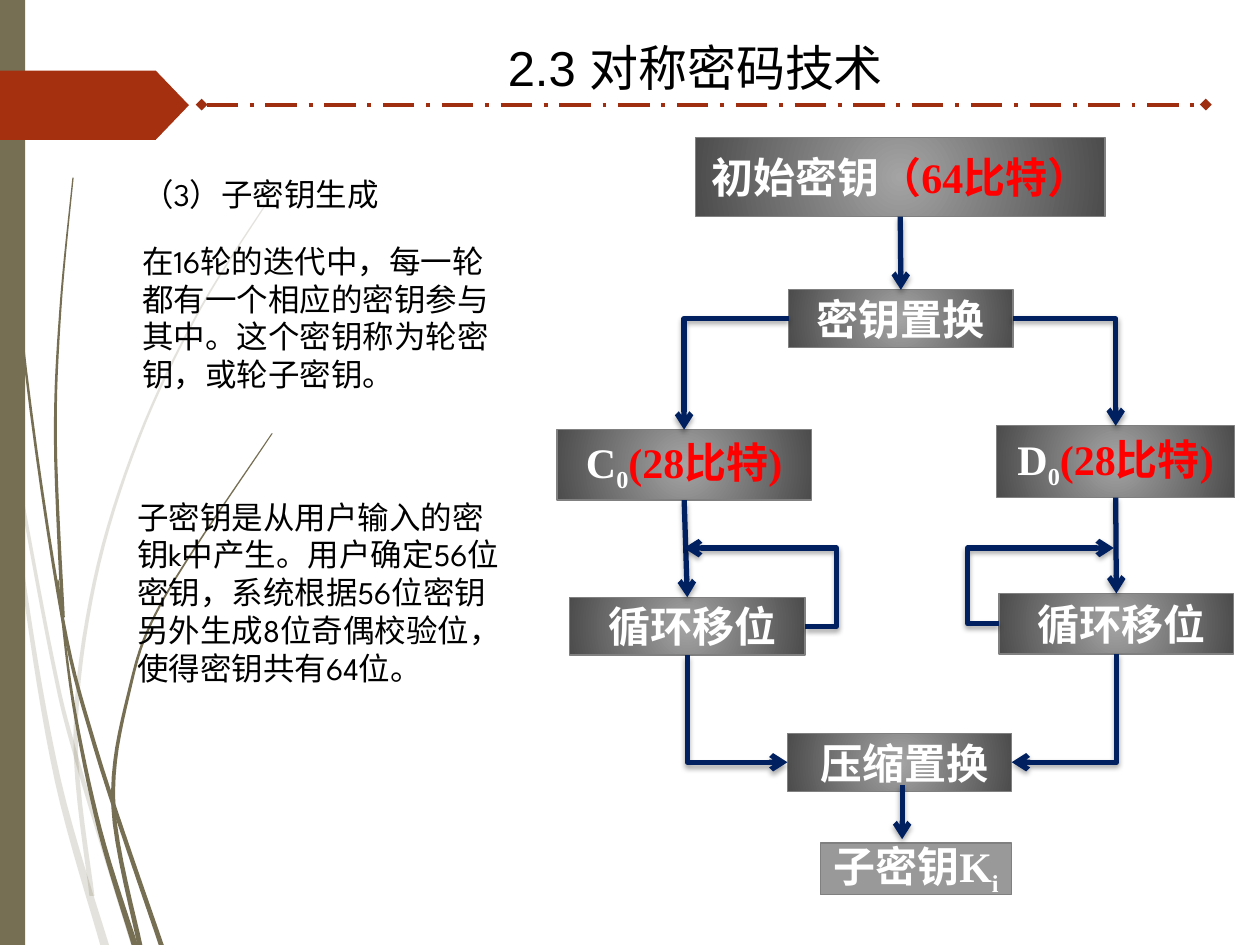
import lxml.etree
import pptx
import pptx.dml.color
import pptx.enum.dml
import pptx.enum.shapes
import pptx.enum.text
import pptx.oxml.ns
import pptx.util

Inches = pptx.util.Inches
Pt = pptx.util.Pt
RGB = pptx.dml.color.RGBColor
Kind = pptx.enum.shapes.MSO_SHAPE
Link = pptx.enum.shapes.MSO_CONNECTOR
Align = pptx.enum.text.PP_ALIGN
Anchor = pptx.enum.text.MSO_ANCHOR
qn = pptx.oxml.ns.qn

OLIVE = RGB(0x76, 0x6F, 0x54)
RUST = RGB(0xA5, 0x30, 0x10)
BRICK = RGB(0x9E, 0x2E, 0x0F)
NAVY = RGB(0x00, 0x20, 0x60)
LIGHT = RGB(0xA4, 0xA4, 0xA4)
DARK = RGB(0x4C, 0x4C, 0x4C)
EDGE = RGB(0x80, 0x80, 0x80)
GRAY = RGB(0x99, 0x99, 0x99)
BLACK = RGB(0, 0, 0)
WHITE = RGB(0xFF, 0xFF, 0xFF)
RED = RGB(0xFF, 0, 0)

TOP, LEFT, BOTTOM, RIGHT = range(4)
STEPS = 8
REACH = .25


def add_tag(parent, tag, **attrs):
    return lxml.etree.SubElement(parent, qn("a:" + tag), attrs)


def percent(share):
    return str(round(share * 100000))


def paint(shape, color):
    shape.shadow.inherit = False
    shape.fill.solid()
    shape.fill.fore_color.rgb = color
    shape.line.fill.background()


def style(font, name, size, color=None, bold=None):
    font.name, font.size, font.bold = name, Pt(size), bold
    if color is not None:
        font.color.rgb = color


def blend(a, b, c, d, t):
    return b + t / 2 * (c - a + t * (2 * a - 5 * b + 4 * c - d
                                     + t * (3 * (b - c) + d - a)))


def smooth(knots):
    padded = [knots[0], *knots, knots[-1]]
    curve = []
    for four in zip(padded, padded[1:], padded[2:], padded[3:]):
        xs, ys = zip(*four)
        for step in range(STEPS):
            t = step / STEPS
            curve.append((blend(*xs, t), blend(*ys, t)))
    return curve + [knots[-1]]


def add_blade(shapes, knots, tip, root, alpha=1):
    curve = smooth(knots)
    last = len(curve) - 1
    near, far = [], []
    for place, (x, y) in enumerate(curve):
        half = (tip + (root - tip) * place / last) / 2
        near.append((Inches(x - half), Inches(y)))
        far.append((Inches(x + half), Inches(y)))
    outline = near + far[::-1]
    form = shapes.build_freeform(*outline[0])
    form.add_line_segments(outline[1:], close=True)
    blade = form.convert_to_shape()
    paint(blade, OLIVE)
    if alpha < 1:
        tone = blade.element.spPr.find(qn("a:solidFill"))[0]
        add_tag(tone, "alpha", val=percent(alpha))


def add_grass(shapes):
    pale_stem = [(0, 2.9), (.11, 3.6), (.41, 5.21), (.61, 6.03), (1.06, 7.5)]
    pale_root = [(.08, 3.5), (.2, 4.7), (.46, 6.2), (.83, 7.5)]
    pale_leaf = [(2.17, 1.53), (1.59, 2.45), (1.1, 3.48), (.75, 4.62),
                 (.6, 5.85), (.73, 7.11)]
    stem = [(.02, 0), (.14, 2.33), (.46, 4.7), (.75, 5.91), (1.28, 7.5)]
    root = [(.46, 4.6), (.58, 5.57), (.79, 6.58), (1.07, 7.5)]
    reed = [(.58, 1.41), (.48, 2.45), (.44, 3.49), (.5, 4.9)]
    leaf = [(2.16, 3.44), (1.3, 4.75), (1.02, 5.51), (.9, 6.4), (1.11, 7.5)]
    for knots, thin, wide in ((pale_stem, .02, .04), (pale_root, .01, .07),
                              (pale_leaf, .01, .04)):
        add_blade(shapes, knots, thin, wide, alpha=.2)
    for knots, thin, wide in ((stem, .01, .04), (root, .01, .05),
                              (reed, .01, .03), (leaf, .01, .04)):
        add_blade(shapes, knots, thin, wide)


def add_line(shapes, kind, start, end, color, width, head=None, tail=None):
    line = shapes.add_connector(kind, *map(Inches, (*start, *end)))
    line.line.color.rgb = color
    line.line.width = Pt(width)
    edge = line.element.spPr.find(qn("a:ln"))
    for tag, tip in (("headEnd", head), ("tailEnd", tail)):
        if tip:
            add_tag(edge, tag, type=tip)
    effects = add_tag(line.element.spPr, "effectLst")
    return line, effects


def add_frame(shapes):
    wall = shapes.add_shape(Kind.RECTANGLE, 0, 0, Inches(.2), Inches(7.5))
    flag = shapes.add_shape(Kind.PENTAGON, 0, Inches(.56), Inches(1.5), Inches(.55))
    flag.adjustments[0] = .48
    paint(wall, OLIVE)
    paint(flag, RUST)
    rule, _ = add_line(shapes, Link.STRAIGHT, (1.6, .83), (9.57, .83), BRICK, 2.25,
                       head="diamond", tail="diamond")
    rule.line.dash_style = pptx.enum.dml.MSO_LINE.LONG_DASH_DOT


def add_title(title, text):
    title.left, title.top = Inches(3.93), Inches(.25)
    title.width, title.height = Inches(3.34), Inches(.57)
    frame = title.text_frame
    frame.text = text
    frame.auto_size = pptx.enum.text.MSO_AUTO_SIZE.NONE
    frame.word_wrap = False
    frame.vertical_anchor = Anchor.TOP
    para = frame.paragraphs[0]
    para.alignment = Align.LEFT
    style(para.font, "Arial", 28, BLACK)


def add_note(shapes, text, *area):
    frame = shapes.add_textbox(*map(Inches, area)).text_frame
    frame.word_wrap = True
    frame.text = text
    style(frame.paragraphs[0].font, "League Spartan", 18, BLACK)


def add_glow(box):
    box.fill.gradient()
    for stop, color in zip(box.fill.gradient_stops, (LIGHT, DARK)):
        stop.color.rgb = color
    grad = box.element.spPr.find(qn("a:gradFill"))
    grad.remove(grad.find(qn("a:lin")))
    round_path = add_tag(grad, "path", path="circle")
    add_tag(round_path, "fillToRect", **dict.fromkeys("ltrb", percent(.5)))


def add_box(shapes, area, text, sub="", red="", flat=False):
    box = shapes.add_shape(Kind.RECTANGLE, *map(Inches, area))
    paint(box, GRAY)
    if not flat:
        add_glow(box)
    box.line.color.rgb = EDGE
    box.line.width = Pt(.75)
    frame = box.text_frame
    frame.word_wrap = False
    frame.vertical_anchor = Anchor.MIDDLE
    para = frame.paragraphs[0]
    para.alignment = Align.CENTER
    style(para.font, "Times New Roman", 24, bold=True)
    for part, color, base in ((text, WHITE, 0), (sub, WHITE, -.25), (red, RED, 0)):
        if part:
            run = para.add_run()
            run.text = part
            run.font.color.rgb = color
            if base:
                run._r.get_or_add_rPr().set("baseline", percent(base))
    return box


def middle(box, side):
    across = {LEFT: 0, RIGHT: 1}.get(side, .5)
    down = {TOP: 0, BOTTOM: 1}.get(side, .5)
    return ((box.left + across * box.width) / Inches(1),
            (box.top + down * box.height) / Inches(1))


def add_arrow(shapes, start, end, kind=Link.STRAIGHT, **tips):
    tips = tips or {"tail": "arrow"}
    line, effects = add_line(shapes, kind, start, end, NAVY, 3, **tips)
    shade = add_tag(effects, "outerShdw", blurRad=str(Pt(3.1)), dist=str(Pt(1.8)),
                    dir="5400000", rotWithShape="0")
    add_tag(add_tag(shade, "srgbClr", val=str(BLACK)), "alpha", val=percent(.35))
    return line


def add_drop(shapes, upper, lower):
    line = add_arrow(shapes, middle(upper, BOTTOM), middle(lower, TOP))
    line.begin_connect(upper, BOTTOM)
    line.end_connect(lower, TOP)


def add_turn(shapes, hub, side, end, **tips):
    line = add_arrow(shapes, middle(hub, side), end, Link.ELBOW, **tips)
    line.element.spPr.find(qn("a:prstGeom")).set("prst", "bentConnector2")


def add_loop(shapes, box, side, end):
    start = middle(box, side)
    line = add_arrow(shapes, start, end, Link.ELBOW)
    bend = -REACH / abs(end[0] - start[0])
    guides = line.element.spPr.find(qn("a:prstGeom")).find(qn("a:avLst"))
    add_tag(guides, "gd", name="adj1", fmla="val " + percent(bend))


def add_flow(shapes):
    start = add_box(shapes, (5.52, 1.09, 3.25, .63), "初始密钥", red="（64比特）")
    swap = add_box(shapes, (6.26, 2.3, 1.78, .46), "密钥置换")
    left = add_box(shapes, (4.42, 3.41, 2.02, .56), "C", "0", "(28比特)")
    right = add_box(shapes, (7.91, 3.38, 1.89, .57), "D", "0", "(28比特)")
    left_shift = add_box(shapes, (4.52, 4.74, 1.87, .46), " 循环移位")
    right_shift = add_box(shapes, (7.93, 4.71, 1.86, .48), " 循环移位")
    press = add_box(shapes, (6.25, 5.82, 1.78, .46), " 压缩置换")
    add_box(shapes, (6.51, 6.69, 1.52, .41), "子密钥K", "i", flat=True)

    add_drop(shapes, start, swap)
    for side, half, shift in ((LEFT, left, left_shift), (RIGHT, right, right_shift)):
        add_turn(shapes, swap, side, middle(half, TOP))
        add_drop(shapes, half, shift)
        add_turn(shapes, press, side, middle(shift, BOTTOM), head="arrow")
    add_loop(shapes, left_shift, RIGHT, (5.43, 4.35))
    add_loop(shapes, right_shift, LEFT, (8.84, 4.35))
    add_arrow(shapes, (7.16, 6.23), (7.16, 6.66))


def main():
    deck = pptx.Presentation()
    deck.slide_width, deck.slide_height = Inches(10), Inches(7.5)
    shapes = deck.slides.add_slide(deck.slide_layouts[5]).shapes
    add_grass(shapes)
    add_frame(shapes)
    add_title(shapes.title, "2.3 对称密码技术")
    add_note(shapes, "（3）子密钥生成", 1.03, 1.34, 2.67, .4)
    add_note(shapes, "在16轮的迭代中，每一轮都有一个相应的密钥参与其中。"
             "这个密钥称为轮密钥，或轮子密钥。", 1.03, 1.87, 3.06, 1.31)
    add_note(shapes, "子密钥是从用户输入的密钥k中产生。用户确定56位密钥，"
             "系统根据56位密钥另外生成8位奇偶校验位，使得密钥共有64位。",
             .99, 3.9, 3.09, 1.62)
    add_flow(shapes)
    deck.save("out.pptx")


if __name__ == "__main__":
    main()
